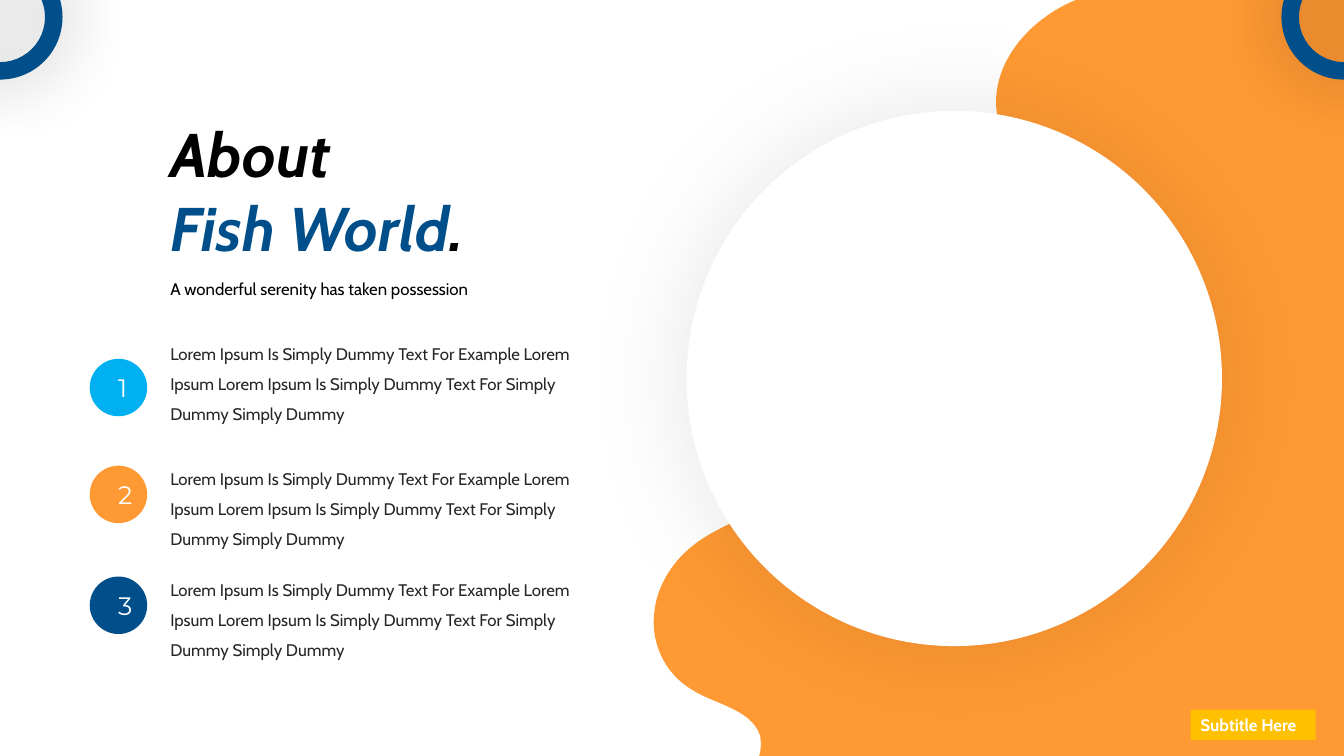
import pptx
import pptx.dml.color
import pptx.enum.shapes
import pptx.enum.text
import pptx.oxml
import pptx.oxml.ns
import pptx.util
from pptx.util import Inches

RGBColor = pptx.dml.color.RGBColor
SHAPE = pptx.enum.shapes.MSO_SHAPE
ALIGN = pptx.enum.text.PP_ALIGN
qn = pptx.oxml.ns.qn
A_NAMESPACE = pptx.oxml.ns.nsdecls("a")

BLACK = RGBColor(0x00, 0x00, 0x00)
WHITE = RGBColor(0xFF, 0xFF, 0xFF)
CHARCOAL = RGBColor(0x26, 0x26, 0x26)
NAVY = RGBColor(0x00, 0x4F, 0x8A)
SKY = RGBColor(0x00, 0xB0, 0xF0)
ORANGE = RGBColor(0xFF, 0x99, 0x33)
AMBER = RGBColor(0xFF, 0xC0, 0x00)

# Content
SLIDE_W, SLIDE_H = 13.33, 7.5
TITLE = [[("About", BLACK)], [("Fish World", NAVY), (".", BLACK)]]
TAGLINE = "A wonderful serenity has taken possession"
DUMMY = ("Lorem Ipsum Is Simply Dummy Text For Example Lorem Ipsum "
         "Lorem Ipsum Is Simply Dummy Text For Simply Dummy Simply Dummy")
SUBTITLE = "Subtitle Here"
# number, colour, top of badge, top of text
POINTS = [("1", SKY, 3.56, 3.26), ("2", ORANGE, 4.62, 4.5), ("3", NAVY, 5.72, 5.6)]

# Orange wave: each step ends at its last point; three points make a curve
WAVE_START = (11.37, -0.12)
WAVE_STEPS = [
    [(11.61, -0.12), (11.86, -0.09), (12.09, -0.03)],
    [(12.24, 0)], [(SLIDE_W, 0)], [(SLIDE_W, SLIDE_H)], [(7.53, SLIDE_H)],
    [(7.55, 7.44), (7.55, 7.37), (7.54, 7.3)],
    [(7.45, 7.03), (7.09, 6.99), (6.86, 6.84)],
    [(6.59, 6.68), (6.45, 6.37), (6.49, 6.07)],
    [(6.52, 5.78), (6.71, 5.51), (6.96, 5.35)],
    [(7.26, 5.15), (7.66, 5.06), (7.81, 4.76)],
    [(7.93, 4.51), (7.83, 4.21), (7.91, 3.95)],
    [(7.99, 3.65), (8.28, 3.44), (8.6, 3.32)],
    [(8.9, 3.2), (9.24, 3.15), (9.54, 3.03)],
    [(9.84, 2.9), (10.14, 2.68), (10.2, 2.38)],
    [(10.31, 1.92), (9.91, 1.5), (9.88, 1.05)],
    [(9.86, 0.59), (10.23, 0.18), (10.67, 0)],
    [(10.89, -0.08), (11.13, -0.12), WAVE_START],
]
UNITS = 1000  # outline units per inch
TEXT_LEFT = 1.59
BADGE_LEFT, BADGE_SIZE = 0.89, 0.57
NUMBER_W, NUMBER_H = 0.19, 0.4
RING_SIZE, RING_TOP = 1.24, -0.45


def add_outline(shapes, start, steps):
    """Freeform through the step ends, with the curved steps bent afterwards."""
    def units(point):
        return tuple(round(value * UNITS) for value in point)

    ends = [units(step[-1]) for step in steps]
    builder = shapes.build_freeform(*units(start), scale=Inches(1) / UNITS)
    builder.add_line_segments(ends, close=True)
    outline = builder.convert_to_shape()
    left, top = (min(values) for values in zip(*ends))
    lines = list(outline._element.spPr.iter(qn("a:lnTo")))
    for line, step in zip(lines, steps):
        if len(step) == 3:
            points = "".join(f'<a:pt x="{x - left}" y="{y - top}"/>'
                             for x, y in map(units, step))
            line.getparent().replace(line, pptx.oxml.parse_xml(
                f"<a:cubicBezTo {A_NAMESPACE}>{points}</a:cubicBezTo>"))
    return outline


def paint(shape, color, shadow=None):
    """Flat fill; shadow is (opacity in percent, blur in points)."""
    shape.fill.solid()
    shape.fill.fore_color.rgb = color
    shape.line.fill.background()
    shape.shadow.inherit = False
    if shadow:
        opacity, blur = shadow
        effects = shape._element.spPr.find(qn("a:effectLst"))
        effects.append(pptx.oxml.parse_xml(
            f'<a:outerShdw {A_NAMESPACE} blurRad="{pptx.util.Pt(blur)}" '
            'dist="0" dir="0" algn="ctr" rotWithShape="0"><a:srgbClr val="000000">'
            f'<a:alpha val="{opacity * 1000}"/></a:srgbClr></a:outerShdw>'))
    return shape


def write(shape, text, size=12, color=BLACK, font="Cabin", bold=None, italic=None,
          spacing=1.0, align=ALIGN.LEFT):
    """text is a string, or a list of paragraphs of (words, colour) runs."""
    frame = shape.text_frame
    frame.word_wrap = True
    frame.auto_size = pptx.enum.text.MSO_AUTO_SIZE.NONE
    frame.vertical_anchor = pptx.enum.text.MSO_ANCHOR.TOP
    paragraphs = [[(text, color)]] if isinstance(text, str) else text
    for i, runs in enumerate(paragraphs):
        paragraph = frame.add_paragraph() if i else frame.paragraphs[0]
        paragraph.alignment = align
        paragraph.line_spacing = spacing
        for words, run_color in runs:
            run = paragraph.add_run()
            run.text = words
            run.font.name, run.font.size = font, pptx.util.Pt(size)
            run.font.bold, run.font.italic = bold, italic
            run.font.color.rgb = run_color


def box(*lengths):
    return [Inches(length) for length in lengths]


def main():
    deck = pptx.Presentation()
    deck.slide_width, deck.slide_height = box(SLIDE_W, SLIDE_H)
    slide = deck.slides.add_slide(deck.slide_layouts[5])
    shapes = slide.shapes

    # Orange wave and large circle
    paint(add_outline(shapes, WAVE_START, WAVE_STEPS), ORANGE)
    paint(shapes.add_shape(SHAPE.OVAL, *box(6.81, 1.1, 5.31, 5.31)), WHITE, shadow=(9, 77))

    # Heading
    title = shapes.title
    title.left, title.top, title.width, title.height = box(TEXT_LEFT, 1.1, 5.22, 1.58)
    write(title, TITLE, size=44, bold=True, italic=True)
    tagline = shapes.add_textbox(*box(TEXT_LEFT, 2.62, 4.42, 0.37))
    write(tagline, TAGLINE, spacing=1.5)

    # Numbered points: a badge of circle and number, then the text
    for number, color, badge_top, text_top in POINTS:
        badge = shapes.add_group_shape().shapes
        paint(badge.add_shape(
            SHAPE.OVAL, *box(BADGE_LEFT, badge_top, BADGE_SIZE, BADGE_SIZE)), color)
        label = badge.add_shape(SHAPE.RECTANGLE, *box(
            BADGE_LEFT + (BADGE_SIZE - NUMBER_W) / 2,
            badge_top + (BADGE_SIZE - NUMBER_H) / 2, NUMBER_W, NUMBER_H))
        write(paint(label, color), number, size=18, color=WHITE, font="Montserrat",
              align=ALIGN.CENTER)
        point = shapes.add_textbox(*box(TEXT_LEFT, text_top, 4.28, 0.97))
        write(point, DUMMY, color=CHARCOAL, spacing=1.5)

    # Subtitle tag
    tag = paint(shapes.add_shape(SHAPE.RECTANGLE, *box(11.81, 7.04, 1.24, 0.3)), AMBER)
    write(tag, SUBTITLE, color=WHITE, bold=True)

    # Rings centred on the left and right slide edges
    for center in (0, SLIDE_W):
        ring = shapes.add_shape(
            SHAPE.DONUT, *box(center - RING_SIZE / 2, RING_TOP, RING_SIZE, RING_SIZE))
        ring.adjustments[0] = 0.14
        paint(ring, NAVY, shadow=(33, 49))

    deck.save("out.pptx")


if __name__ == "__main__":
    main()
